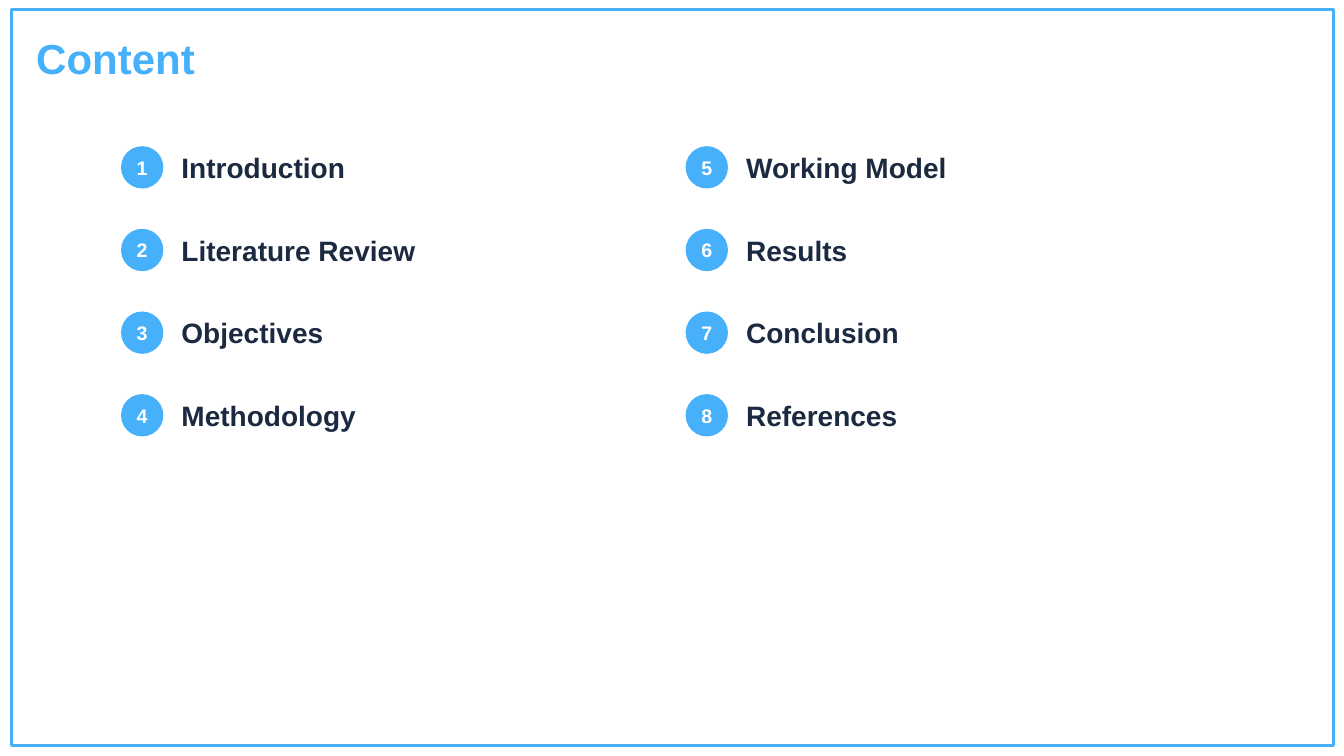
import pptx
import pptx.util
import pptx.dml.color
import pptx.enum.shapes
import pptx.enum.text

TITLE = "Content"
COLUMNS = [
    ["Introduction", "Literature Review", "Objectives", "Methodology"],
    ["Working Model", "Results", "Conclusion", "References"],
]
FONT = "Arial"
FRAME_BLUE, BLUE, NAVY, WHITE = "46B0F9", "46B0FA", "1B2A41", "FFFFFF"

EMU_PER_PX = 9144
SLIDE_SIZE = (1333, 750)
FRAME_BOX = (11, 9, 1312, 731)
TITLE_BOX = (36, 26, 1040, 62)
GRID_LEFT, GRID_TOP = 120, 145
COLUMN_STEP, ROW_STEP = 560, 82
BADGE_SIZE = 42
LABEL_OFFSET, LABEL_WIDTH, LABEL_HEIGHT = 60, 460, 46


def px(length):
    return pptx.util.Emu(length * EMU_PER_PX)


def color(hex_string):
    return pptx.dml.color.RGBColor.from_string(hex_string)


def write(shape, text, size, text_color, alignment):
    frame = shape.text_frame
    frame.margin_left = frame.margin_right = frame.margin_top = frame.margin_bottom = 0
    frame.vertical_anchor = pptx.enum.text.MSO_ANCHOR.MIDDLE
    frame.word_wrap = True
    paragraph = frame.paragraphs[0]
    paragraph.text = text
    paragraph.alignment = alignment
    font = paragraph.font
    font.name = FONT
    font.size = pptx.util.Pt(size)
    font.bold = True
    font.color.rgb = color(text_color)


def add_text(slide, box, text, size, text_color):
    shape = slide.shapes.add_textbox(*map(px, box))
    write(shape, text, size, text_color, pptx.enum.text.PP_ALIGN.LEFT)
    shape.text_frame.auto_size = pptx.enum.text.MSO_AUTO_SIZE.SHAPE_TO_FIT_TEXT
    shape.text_frame.paragraphs[0].space_after = pptx.util.Pt(6)


def add_frame(slide):
    frame = slide.shapes.add_shape(
        pptx.enum.shapes.MSO_SHAPE.RECTANGLE, *map(px, FRAME_BOX))
    frame.shadow.inherit = False
    frame.fill.background()
    frame.line.color.rgb = color(FRAME_BLUE)
    frame.line.width = pptx.util.Pt(2.25)


def add_badge(slide, left, top, number):
    badge = slide.shapes.add_shape(
        pptx.enum.shapes.MSO_SHAPE.OVAL, *map(px, (left, top, BADGE_SIZE, BADGE_SIZE)))
    badge.shadow.inherit = False
    badge.fill.solid()
    badge.fill.fore_color.rgb = color(BLUE)
    badge.line.fill.background()
    write(badge, str(number), 14, WHITE, pptx.enum.text.PP_ALIGN.CENTER)


def main():
    presentation = pptx.Presentation()
    presentation.slide_width, presentation.slide_height = map(px, SLIDE_SIZE)
    slide = presentation.slides.add_slide(presentation.slide_layouts[6])
    slide.background.fill.solid()
    slide.background.fill.fore_color.rgb = color(WHITE)

    add_frame(slide)
    add_text(slide, TITLE_BOX, TITLE, 30, BLUE)
    number = 0
    for column, topics in enumerate(COLUMNS):
        for row, topic in enumerate(topics):
            number += 1
            left = GRID_LEFT + column * COLUMN_STEP
            top = GRID_TOP + row * ROW_STEP
            add_badge(slide, left, top, number)
            label_top = top - (LABEL_HEIGHT - BADGE_SIZE) // 2
            label_box = (left + LABEL_OFFSET, label_top, LABEL_WIDTH, LABEL_HEIGHT)
            add_text(slide, label_box, topic, 20, NAVY)

    presentation.save("out.pptx")


if __name__ == "__main__":
    main()
